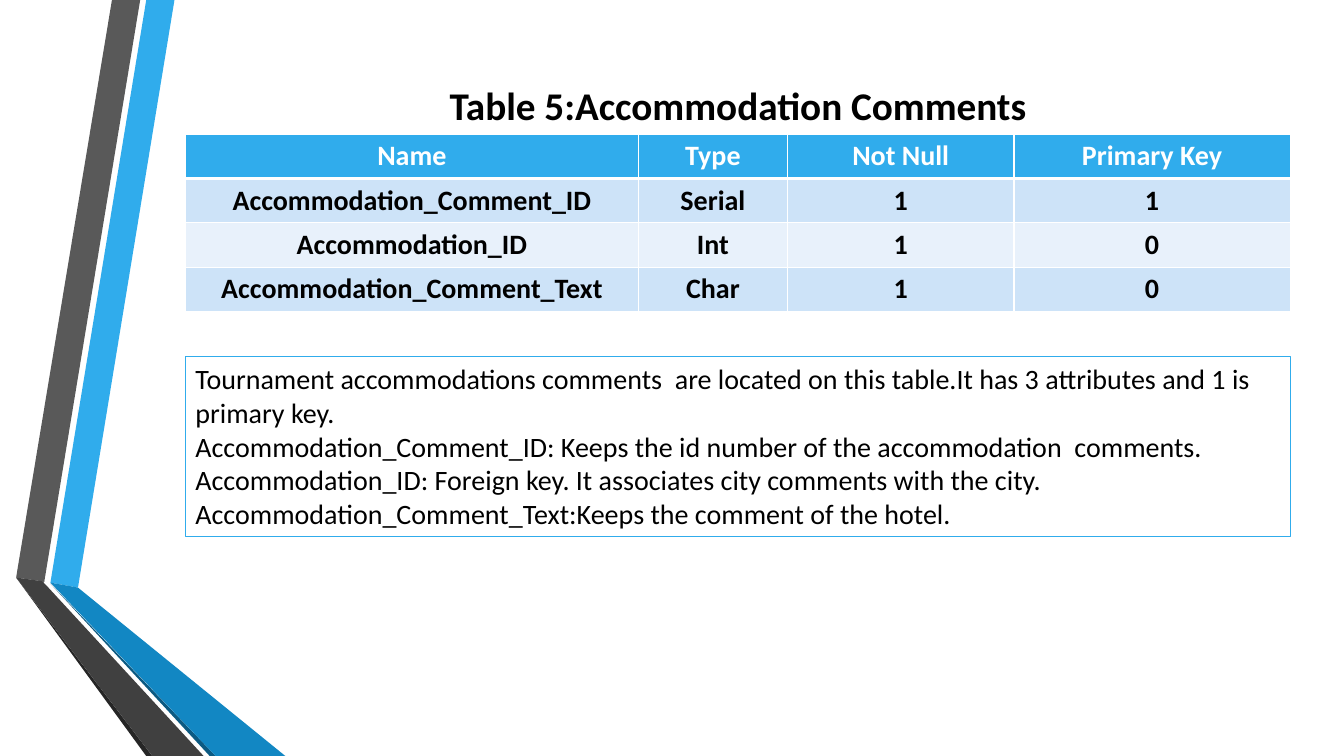
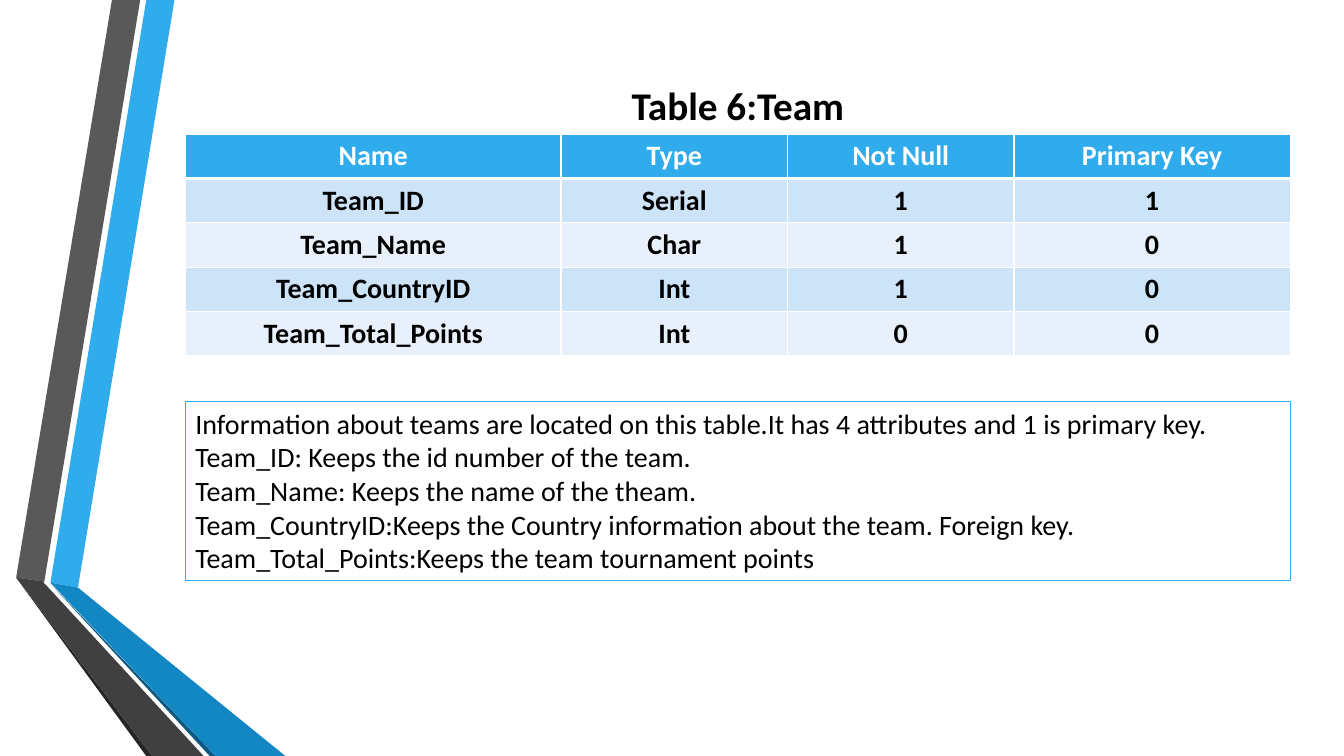
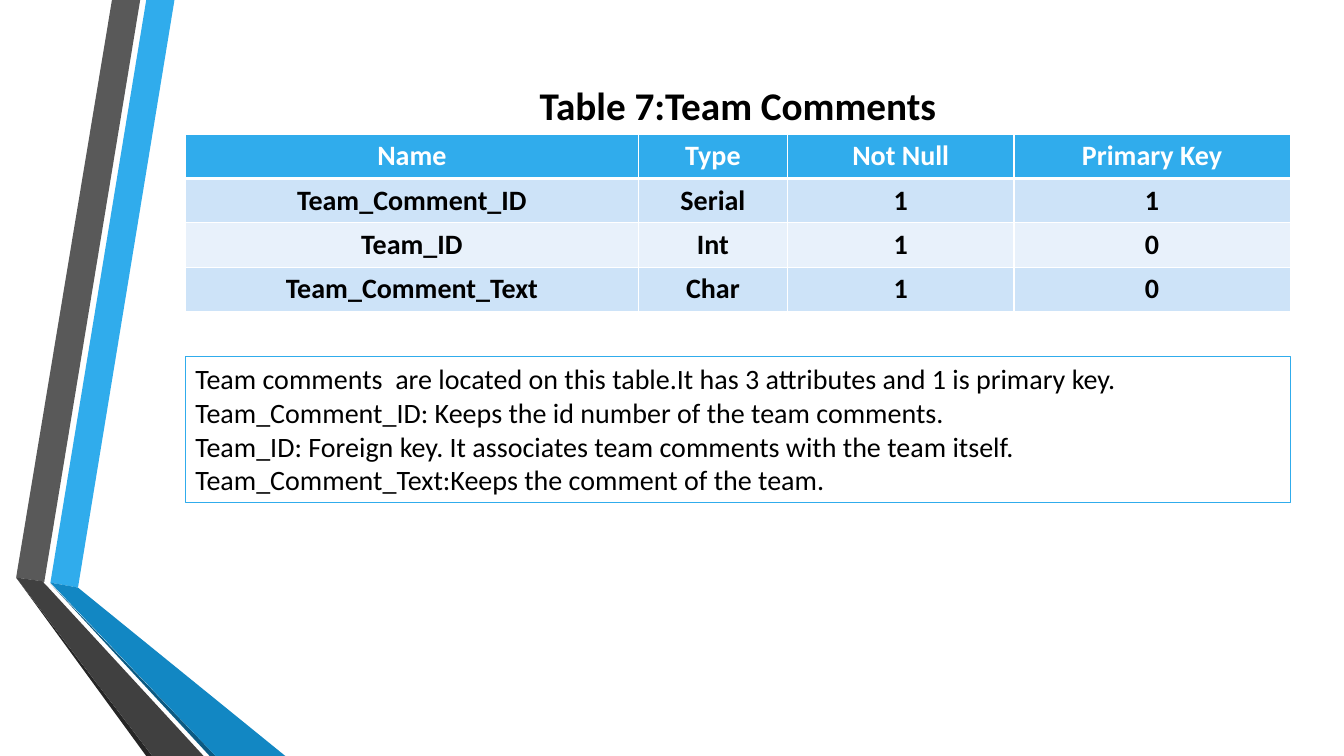
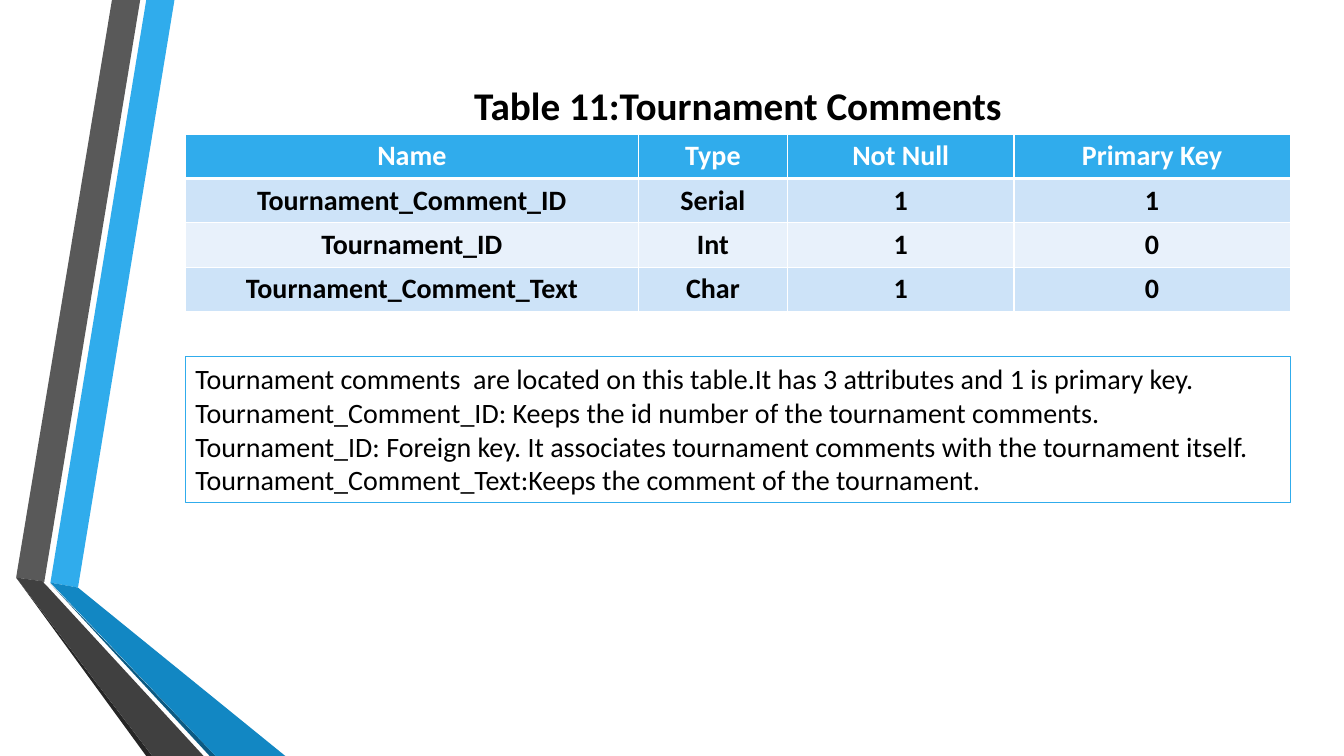
from dataclasses import dataclass

import pptx
import pptx.util
import pptx.dml.color
import pptx.enum.shapes
import pptx.enum.text
import pptx.oxml
import pptx.oxml.ns

ALIGN = pptx.enum.text.PP_ALIGN


@dataclass(frozen=True)
class Theme:
    font: str = "Calibri"
    title_size: int = 28
    body_size: int = 20
    text: str = "000000"
    paper: str = "FFFFFF"
    accent: str = "30ACEC"
    accent_dark: str = "1287C3"
    accent_deep: str = "0C5A82"
    grey: str = "595959"
    grey_dark: str = "404040"
    grey_deep: str = "262626"
    bands: tuple = ("CDE3F8", "E8F1FB")
    rule: float = 1
    header_rule: float = 3
    frame: float = 0.75


@dataclass(frozen=True)
class Box:
    left: int
    top: int
    width: int
    height: int

    def x(self, percent):
        return self.left + round(self.width * percent / 100)

    def y(self, percent):
        return self.top + round(self.height * percent / 100)

    def inner(self, left, top, width, height):
        """A box inside this one, in percent of its size."""
        return Box(self.x(left), self.y(top),
                   round(self.width * width / 100), round(self.height * height / 100))

    def place(self):
        return self.left, self.top, self.width, self.height


THEME = Theme()
PAGE = Box(0, 0, pptx.util.Inches(13.33), pptx.util.Inches(7.5))

# Content column and its rows, in percent of the page
LEFT, WIDTH = 13.8, 82.2
TITLE_TOP, TITLE_HEIGHT = 10.13, 7.6
TABLE_TOP, ROW_HEIGHT = 17.73, 5.87
NOTE_GAP, LINE_HEIGHT, NOTE_PADDING = 6, 4.4, 1.73

# Ribbon outlines, in percent of the page, from back to front
RIBBONS = (
    (THEME.accent, ((3.75, 77.07), (5.8, 77.73), (12.98, 0), (10.88, 0))),
    (THEME.grey, ((10.43, 0), (8.33, 0), (1.2, 76.4), (3.3, 76.93))),
    (THEME.grey_deep, ((1.2, 76.4), (10.88, 100), (11.33, 100))),
    (THEME.accent_deep, ((3.75, 77.2), (15.6, 100), (16.05, 100))),
    (THEME.accent_dark, ((3.75, 77.07), (16.05, 100), (21.23, 100), (5.8, 77.73))),
    (THEME.grey_dark, ((15.15, 100), (3.6, 77.73), (3.23, 77.07), (3.3, 76.93),
                       (1.2, 76.4), (11.33, 100))),
)

HEADER = ("Name", "Type", "Not Null", "Primary Key")
WIDE_NAMES = (41, 13.5, 20.5, 25)
EVEN_NAMES = (34, 20.5, 20.5, 25)


@dataclass(frozen=True)
class Entity:
    title: str
    title_width: float  # percent of the content column
    columns: tuple
    attributes: tuple
    notes: tuple
    note_lines: int


ENTITIES = (
    Entity("Table 5:Accommodation Comments", 56.8, WIDE_NAMES,
           (("Accommodation_Comment_ID", "Serial", "1", "1"),
            ("Accommodation_ID", "Int", "1", "0"),
            ("Accommodation_Comment_Text", "Char", "1", "0")),
           ("Tournament accommodations comments  are located on this table."
            "It has 3 attributes and 1 is primary key.",
            "Accommodation_Comment_ID: Keeps the id number of the accommodation  comments.",
            "Accommodation_ID: Foreign key. It associates city comments with the city.",
            "Accommodation_Comment_Text:Keeps the comment of the hotel."), 5),
    Entity("Table 6:Team", 22.3, EVEN_NAMES,
           (("Team_ID", "Serial", "1", "1"),
            ("Team_Name", "Char", "1", "0"),
            ("Team_CountryID", "Int", "1", "0"),
            ("Team_Total_Points", "Int", "0", "0")),
           ("Information about teams are located on this table."
            "It has 4 attributes and 1 is primary key.",
            "Team_ID: Keeps the id number of the team.",
            "Team_Name: Keeps the name of the theam.",
            "Team_CountryID:Keeps the Country information about the team. Foreign key.",
            "Team_Total_Points:Keeps the team tournament points"), 5),
    Entity("Table 7:Team Comments", 39.5, WIDE_NAMES,
           (("Team_Comment_ID", "Serial", "1", "1"),
            ("Team_ID", "Int", "1", "0"),
            ("Team_Comment_Text", "Char", "1", "0")),
           ("Team comments  are located on this table.It has 3 attributes and 1 is primary key.",
            "Team_Comment_ID: Keeps the id number of the team comments.",
            "Team_ID: Foreign key. It associates team comments with the team itself.",
            "Team_Comment_Text:Keeps the comment of the team."), 4),
    Entity("Table 11:Tournament Comments", 51.8, WIDE_NAMES,
           (("Tournament_Comment_ID", "Serial", "1", "1"),
            ("Tournament_ID", "Int", "1", "0"),
            ("Tournament_Comment_Text", "Char", "1", "0")),
           ("Tournament comments  are located on this table."
            "It has 3 attributes and 1 is primary key.",
            "Tournament_Comment_ID: Keeps the id number of the tournament comments.",
            "Tournament_ID: Foreign key. It associates tournament comments "
            "with the tournament itself.",
            "Tournament_Comment_Text:Keeps the comment of the tournament."), 4),
)


def rgb(value):
    return pptx.dml.color.RGBColor.from_string(value)


def write(frame, text, size, color=THEME.text, bold=False, align=ALIGN.LEFT):
    frame.text = text
    for paragraph in frame.paragraphs:
        paragraph.alignment = align
        for run in paragraph.runs:
            run.font.name = THEME.font
            run.font.size = pptx.util.Pt(size)
            run.font.bold = bold
            run.font.color.rgb = rgb(color)


def add_ribbons(slide, layout, box):
    """Draw the folded ribbons, then hand them to the layout all slides share."""
    group = slide.shapes.add_group_shape()
    for color, points in RIBBONS:
        start, *rest = [(box.x(x), box.y(y)) for x, y in points]
        outline = group.shapes.build_freeform(*start)
        outline.add_line_segments(rest, close=True)
        ribbon = outline.convert_to_shape()
        ribbon.fill.solid()
        ribbon.fill.fore_color.rgb = rgb(color)
        ribbon.line.fill.background()
        ribbon.shadow.inherit = False
    layout.shapes.element.append(group.element)


def add_title(slide, box, text):
    title = slide.shapes.add_textbox(*box.place())
    title.text_frame.word_wrap = False
    title.text_frame.auto_size = pptx.enum.text.MSO_AUTO_SIZE.SHAPE_TO_FIT_TEXT
    write(title.text_frame, text, THEME.title_size, bold=True, align=ALIGN.CENTER)


def set_borders(cell, top, bottom):
    properties = cell._tc.get_or_add_tcPr()
    for side, width in (("L", THEME.rule), ("R", THEME.rule), ("T", top), ("B", bottom)):
        properties.append(pptx.oxml.parse_xml(
            f'<a:ln{side} {pptx.oxml.ns.nsdecls("a")} w="{pptx.util.Pt(width)}">'
            f'<a:solidFill><a:srgbClr val="{THEME.paper}"/></a:solidFill></a:ln{side}>'))


def add_attribute_table(slide, box, columns, attributes):
    rows = (HEADER,) + attributes
    table = slide.shapes.add_table(len(rows), len(HEADER), *box.place()).table
    table.horz_banding = False
    for column, share in zip(table.columns, columns):
        column.width = round(box.width * share / 100)
    for r, values in enumerate(rows):
        table.rows[r].height = box.height // len(rows)
        is_header = r == 0
        for c, value in enumerate(values):
            cell = table.cell(r, c)
            set_borders(cell, THEME.header_rule if r == 1 else THEME.rule,
                        THEME.header_rule if is_header else THEME.rule)
            cell.fill.solid()
            cell.fill.fore_color.rgb = rgb(THEME.accent if is_header else THEME.bands[(r - 1) % 2])
            write(cell.text_frame, value, THEME.body_size,
                  THEME.paper if is_header else THEME.text, True, ALIGN.CENTER)


def add_note(slide, box, notes):
    note = slide.shapes.add_shape(pptx.enum.shapes.MSO_SHAPE.RECTANGLE, *box.place())
    note.shadow.inherit = False
    note.fill.background()
    note.line.color.rgb = rgb(THEME.accent)
    note.line.width = pptx.util.Pt(THEME.frame)
    note.text_frame.word_wrap = True
    note.text_frame.auto_size = pptx.enum.text.MSO_AUTO_SIZE.SHAPE_TO_FIT_TEXT
    note.text_frame.vertical_anchor = pptx.enum.text.MSO_ANCHOR.TOP
    write(note.text_frame, "\n".join(notes), THEME.body_size)


def fill_entity_slide(slide, box, entity):
    # Title, centred over the table
    title_width = WIDTH * entity.title_width / 100
    title_left = LEFT + (WIDTH - title_width) / 2
    add_title(slide, box.inner(title_left, TITLE_TOP, title_width, TITLE_HEIGHT), entity.title)
    # Attribute table
    table_height = ROW_HEIGHT * (len(entity.attributes) + 1)
    add_attribute_table(slide, box.inner(LEFT, TABLE_TOP, WIDTH, table_height),
                        entity.columns, entity.attributes)
    # Explanation below the table
    note_top = TABLE_TOP + table_height + NOTE_GAP
    note_height = LINE_HEIGHT * entity.note_lines + NOTE_PADDING
    add_note(slide, box.inner(LEFT, note_top, WIDTH, note_height), entity.notes)


def main():
    deck = pptx.Presentation()
    deck.slide_width, deck.slide_height = PAGE.width, PAGE.height
    blank = deck.slide_layouts[6]
    slides = [deck.slides.add_slide(blank) for _ in ENTITIES]
    add_ribbons(slides[0], blank, PAGE)
    for slide, entity in zip(slides, ENTITIES):
        fill_entity_slide(slide, PAGE, entity)
    deck.save("out.pptx")


if __name__ == "__main__":
    main()
